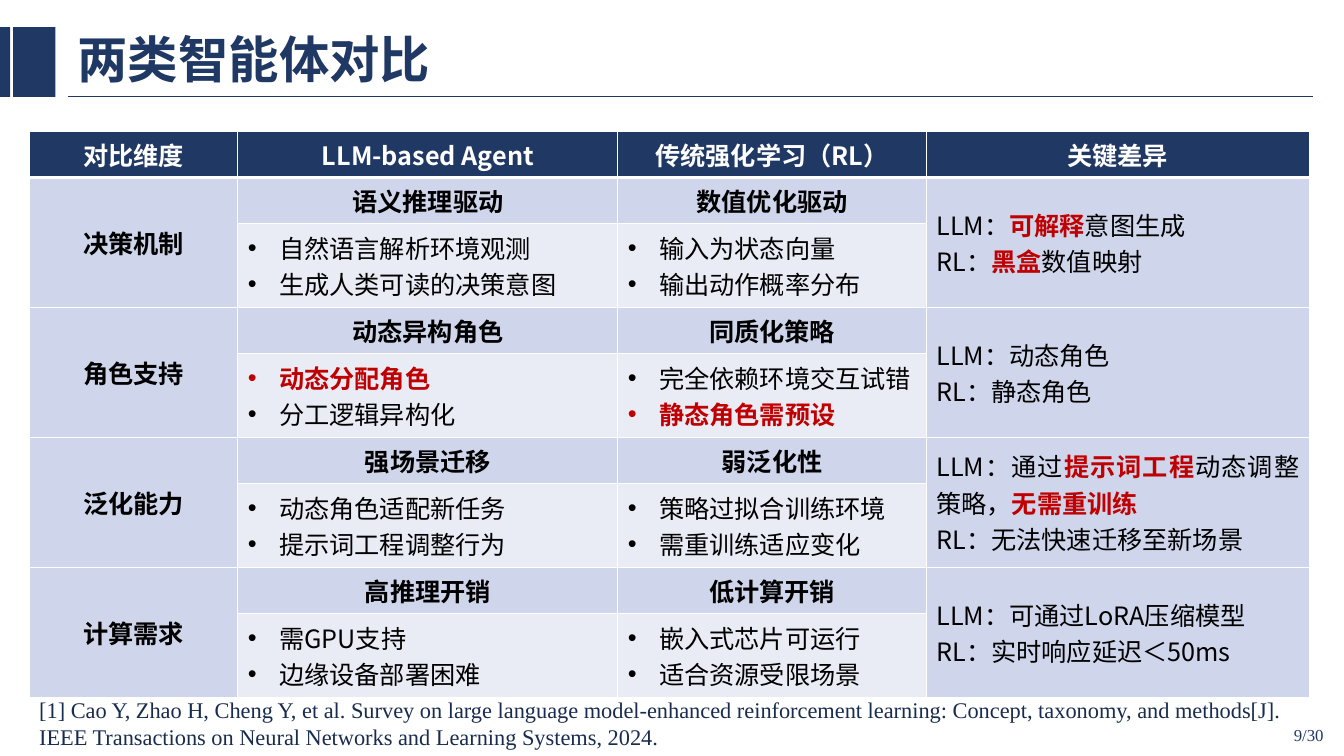
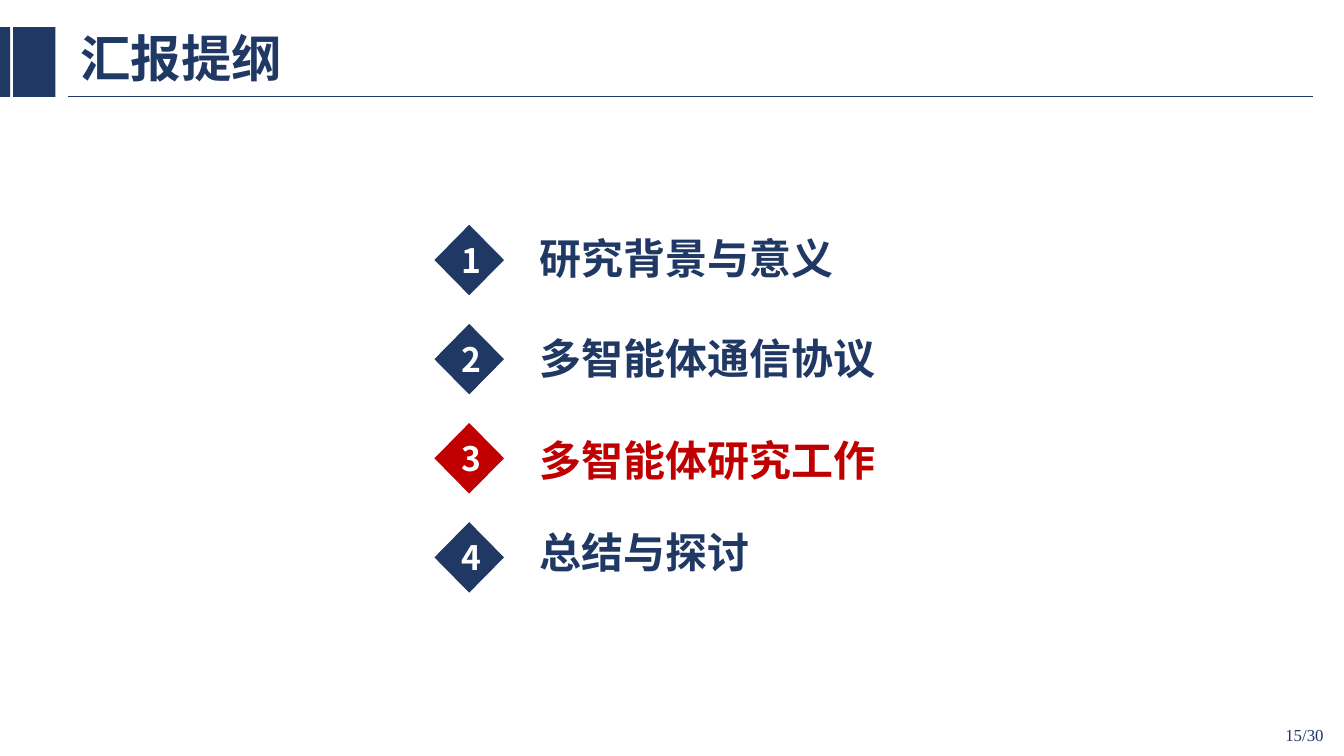
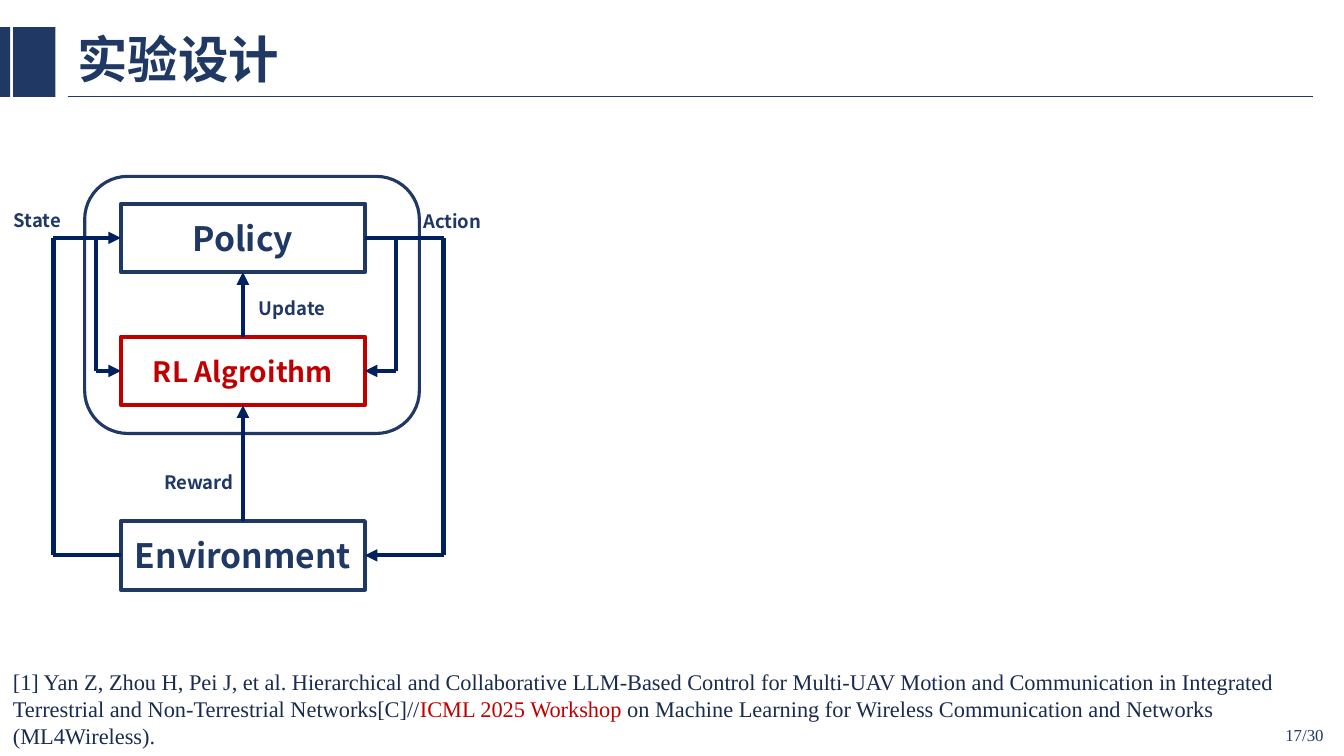
"""Build three slides on agents: a comparison table, the outline and the experiment design."""
from lxml.etree import SubElement
from pptx import Presentation
from pptx.dml.color import RGBColor
from pptx.enum.shapes import MSO_CONNECTOR, MSO_SHAPE as SHAPE
from pptx.enum.text import MSO_ANCHOR as ANCHOR, PP_ALIGN as ALIGN
from pptx.oxml.ns import qn
from pptx.util import Inches, Pt

WIDTH, HEIGHT = 40 / 3, 7.5
NAVY, DEEP, INK, RED = "203864", "002060", "192C4F", "C00000"
BLACK, WHITE, BAND, PALE = "000000", "FFFFFF", "CFD5EA", "E9EBF5"
SANS, SERIF = "Noto Sans CJK SC", "Times New Roman"
colour = RGBColor.from_string


def write(target, lines, size, ink, font=SANS, bold=False, align=ALIGN.LEFT,
          spacing=None, bullet=False, strong=True, anchor=ANCHOR.MIDDLE):
    """Fill a shape or cell with paragraphs; text between asterisks turns red."""
    frame = target.text_frame
    frame.word_wrap = True
    frame.vertical_anchor = anchor
    for index, line in enumerate(lines):
        paragraph = frame.add_paragraph() if index else frame.paragraphs[0]
        paragraph.alignment = align
        if spacing:
            paragraph.line_spacing = spacing
        if bullet:
            properties = paragraph._p.get_or_add_pPr()
            properties.set("marL", str(Inches(0.31)))
            properties.set("indent", str(-Inches(0.31)))
            SubElement(properties, qn("a:buFont"), typeface="Arial")
            SubElement(properties, qn("a:buChar"), char="•")
        pieces = line.split("*")
        all_red = len(pieces) == 3 and not pieces[0] and not pieces[2]
        paragraph.font.name = font
        paragraph.font.size = Pt(size)
        paragraph.font.bold = bold or all_red
        paragraph.font.color.rgb = colour(RED if all_red else ink)
        SubElement(paragraph._p.pPr.find(qn("a:defRPr")), qn("a:ea"), typeface=font)
        for position, piece in enumerate(pieces):
            if piece:
                run = paragraph.add_run()
                run.text = piece
                if position % 2:
                    run.font.color.rgb = colour(RED)
                    run.font.bold = strong


def draw_line(slide, start, end, ink, weight, arrow=False):
    """Draw a straight line without shadow, with an arrowhead if asked."""
    line = slide.shapes.add_connector(
        MSO_CONNECTOR.STRAIGHT, *map(Inches, (*start, *end)))
    line.line.color.rgb = colour(ink)
    line.line.width = Pt(weight)
    if arrow:
        SubElement(line.line._get_or_add_ln(), qn("a:tailEnd"), type="triangle")
    SubElement(line._element.spPr, qn("a:effectLst"))
    return line


presentation = Presentation()
presentation.slide_width, presentation.slide_height = Inches(WIDTH), Inches(HEIGHT)

slides = []
for title, number, left, top in (("两类智能体对比", 9, 0.67, 0.22),
                                 ("汇报提纲", 15, 0.7, 0.21),
                                 ("实验设计", 17, 0.67, 0.22)):
    slide = presentation.slides.add_slide(presentation.slide_layouts[6])
    draw_line(slide, (0.67, 0.96), (13.03, 0.96), NAVY, 1)
    for bar_left, bar_width in ((0, 0.1), (0.13, 0.42)):
        bar = slide.shapes.add_shape(
            SHAPE.RECTANGLE, *map(Inches, (bar_left, 0.27, bar_width, 0.69)))
        bar.shadow.inherit = False
        bar.fill.solid()
        bar.fill.fore_color.rgb = colour(NAVY)
        bar.line.fill.background()
    heading = slide.shapes.add_textbox(*map(Inches, (left, top, 12.5, 0.8)))
    write(heading, [title], 36, NAVY, bold=True, spacing=0.9)
    footer = slide.shapes.add_textbox(*map(Inches, (10.23, 7.09, 3, 0.4)))
    write(footer, [f"{number}/30"], 12, NAVY, SERIF, align=ALIGN.RIGHT)
    slides.append(slide)
comparison, outline, experiment = slides

for slide, left, top, width, citation in (
        (comparison, 0.29, 6.86, 12.95,
         "[1] Cao Y, Zhao H, Cheng Y, et al. Survey on large language model-enhanced "
         "reinforcement learning: Concept, taxonomy, and methods[J]. IEEE Transactions "
         "on Neural Networks and Learning Systems, 2024."),
        (experiment, 0.03, 6.58, 13.24,
         "[1] Yan Z, Zhou H, Pei J, et al. Hierarchical and Collaborative LLM-Based "
         "Control for Multi-UAV Motion and Communication in Integrated Terrestrial and "
         "Non-Terrestrial Networks[C]//*ICML 2025 Workshop *on Machine Learning for "
         "Wireless Communication and Networks (ML4Wireless).")):
    reference = slide.shapes.add_textbox(*map(Inches, (left, top, width, HEIGHT - top)))
    write(reference, [citation], 16, INK, SERIF, strong=False, anchor=ANCHOR.TOP)

headers = ["对比维度", "LLM-based Agent", "传统强化学习（RL）", "关键差异"]
aspects = [
    ("决策机制",
     ("语义推理驱动", ["自然语言解析环境观测", "生成人类可读的决策意图"]),
     ("数值优化驱动", ["输入为状态向量", "输出动作概率分布"]),
     ["LLM：*可解释*意图生成", "RL：*黑盒*数值映射"]),
    ("角色支持",
     ("动态异构角色", ["*动态分配角色*", "分工逻辑异构化"]),
     ("同质化策略", ["完全依赖环境交互试错", "*静态角色需预设*"]),
     ["LLM：动态角色", "RL：静态角色"]),
    ("泛化能力",
     ("强场景迁移", ["动态角色适配新任务", "提示词工程调整行为"]),
     ("弱泛化性", ["策略过拟合训练环境", "需重训练适应变化"]),
     ["LLM：通过*提示词工程*动态调整策略，*无需重训练*", "RL：无法快速迁移至新场景"]),
    ("计算需求",
     ("高推理开销", ["需GPU支持", "边缘设备部署困难"]),
     ("低计算开销", ["嵌入式芯片可运行", "适合资源受限场景"]),
     ["LLM：可通过LoRA压缩模型", "RL：实时响应延迟＜50ms"]),
]
row_count = 1 + 2 * len(aspects)
table = comparison.shapes.add_table(
    row_count, len(headers), *map(Inches, (0.29, 1.3, 12.7, 5.62))).table
for column, width in zip(table.columns, (2.07, 3.77, 3.06, 3.8)):
    column.width = Inches(width)
for index, row in enumerate(table.rows):
    row.height = Inches(0.83 if index and index % 2 == 0 else 0.46)
    for cell in row.cells:
        cell.vertical_anchor = ANCHOR.MIDDLE
        if index == 0:
            border = SubElement(cell._tc.get_or_add_tcPr(), qn("a:lnB"), w=str(Pt(3)))
            SubElement(SubElement(border, qn("a:solidFill")), qn("a:srgbClr"), val=WHITE)
        cell.fill.solid()
        cell.fill.fore_color.rgb = colour(
            NAVY if index == 0 else BAND if index % 2 else PALE)
for index, header in enumerate(headers):
    write(table.cell(0, index), [header], 18, WHITE, bold=True, align=ALIGN.CENTER)
for index, (aspect, agent, classic, difference) in enumerate(aspects):
    row = 1 + 2 * index
    for column in (0, 3):
        table.cell(row, column).merge(table.cell(row + 1, column))
    write(table.cell(row, 0), [aspect], 18, BLACK, bold=True, align=ALIGN.CENTER)
    for column, (summary, points) in enumerate((agent, classic), 1):
        write(table.cell(row, column), [summary], 18, BLACK, bold=True, align=ALIGN.CENTER)
        write(table.cell(row + 1, column), points, 18, BLACK, align=ALIGN.JUSTIFY, bullet=True)
    write(table.cell(row, 3), difference, 18, BLACK, align=ALIGN.JUSTIFY)
for cell in table.iter_cells():
    cell.vertical_anchor = ANCHOR.MIDDLE

chapters = [("研究背景与意义", 2.26), ("多智能体通信协议", 3.25),
            ("多智能体研究工作", 4.26), ("总结与探讨", 5.17)]
current = 3
first_top, last_top = 2.23, 5.18
step = (last_top - first_top) / (len(chapters) - 1)
for index, (chapter, top) in enumerate(chapters):
    number = index + 1
    ink = RED if number == current else NAVY
    diamond = outline.shapes.add_shape(
        SHAPE.DIAMOND, *map(Inches, (4.31, first_top + step * index, 0.69, 0.7)))
    diamond.shadow.inherit = False
    diamond.fill.solid()
    diamond.fill.fore_color.rgb = colour(ink)
    diamond.line.fill.background()
    frame = diamond.text_frame
    frame.margin_right = frame.margin_top = frame.margin_bottom = 0
    frame.margin_left = Inches(0.05)
    write(diamond, [str(number)], 24, WHITE, bold=True, align=ALIGN.CENTER)
    label = outline.shapes.add_textbox(*map(Inches, (5.25, top, 6.35, 0.61)))
    write(label, [chapter], 30, ink, bold=True, anchor=ANCHOR.TOP)

box_left, box_width, box_height = 1.2, 2.42, 0.68
box_right, box_centre = box_left + box_width, box_left + box_width / 2
boxes, middles = {}, {}
for name, top, size, ink in (("Policy", 2.02, 24, NAVY),
                             ("RL Algroithm", 3.34, 20, RED),
                             ("Environment", 5.17, 24, NAVY)):
    box = experiment.shapes.add_shape(
        SHAPE.RECTANGLE, *map(Inches, (box_left, top, box_width, box_height)))
    box.shadow.inherit = False
    box.fill.background()
    box.line.color.rgb = colour(ink)
    box.line.width = Pt(3)
    write(box, [name], size, ink, bold=True, align=ALIGN.CENTER)
    boxes[name], middles[name] = box, top + box_height / 2
policy, algorithm, environment = boxes.values()
policy_y, algorithm_y, environment_y = middles.values()

agent_frame = experiment.shapes.add_shape(
    SHAPE.ROUNDED_RECTANGLE, *map(Inches, (0.84, 1.75, 3.32, 2.55)))
agent_frame.shadow.inherit = False
agent_frame.fill.background()
agent_frame.line.color.rgb = colour(NAVY)
agent_frame.line.width = Pt(2.25)

TOP, LEFT, BOTTOM, RIGHT = range(4)
state_x, state_inner_x, action_inner_x, action_x = 0.53, 0.95, 3.93, 4.4
for lower, upper in ((environment, algorithm), (algorithm, policy)):
    arrow = draw_line(experiment, (box_centre, environment_y), (box_centre, policy_y),
                      DEEP, 3, arrow=True)
    arrow.begin_connect(lower, TOP)
    arrow.end_connect(upper, BOTTOM)
for box, x, y, edge, side, into in (
        (policy, state_x, policy_y, box_left, LEFT, True),
        (algorithm, state_inner_x, algorithm_y, box_left, LEFT, True),
        (algorithm, action_inner_x, algorithm_y, box_right, RIGHT, True),
        (environment, action_x, environment_y, box_right, RIGHT, True),
        (environment, state_x, environment_y, box_left, LEFT, False),
        (policy, action_x, policy_y, box_right, RIGHT, False)):
    branch = draw_line(experiment, (x, y), (edge, y), DEEP, 3, arrow=into)
    branch.end_connect(box, side)
for x, end_y in ((state_x, environment_y), (state_inner_x, algorithm_y),
                 (action_inner_x, algorithm_y), (action_x, environment_y)):
    draw_line(experiment, (x, policy_y), (x, end_y), DEEP, 3)

for signal, left, top in (("Reward", 1.53, 4.56), ("State", 0.04, 1.96),
                          ("Update", 2.47, 2.83), ("Action", 4.1, 1.97)):
    label = experiment.shapes.add_textbox(*map(Inches, (left, top, 1.25, 0.38)))
    write(label, [signal], 13.2, NAVY, bold=True, align=ALIGN.JUSTIFY, spacing=1.3)

presentation.save("out.pptx")
